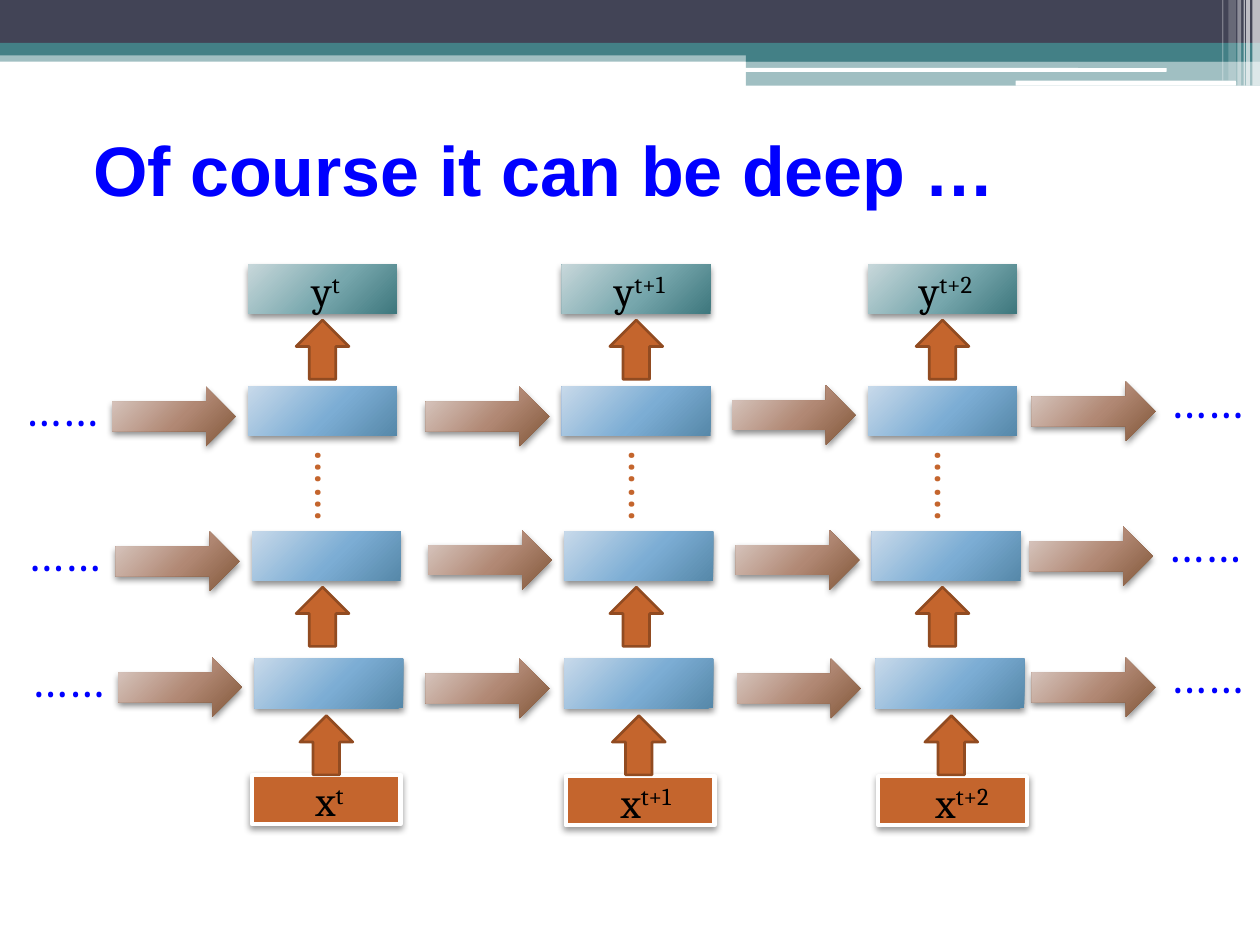
from lxml import etree
from pptx import Presentation
from pptx.dml.color import RGBColor
from pptx.enum.shapes import MSO_SHAPE
from pptx.enum.text import MSO_ANCHOR, MSO_AUTO_SIZE, PP_ALIGN
from pptx.oxml import parse_xml
from pptx.oxml.ns import nsdecls, qn
from pptx.util import Pt

RECT, ROUND = MSO_SHAPE.RECTANGLE, MSO_SHAPE.ROUNDED_RECTANGLE
UP, RIGHT = MSO_SHAPE.UP_ARROW, MSO_SHAPE.RIGHT_ARROW
LEFT, CENTER = PP_ALIGN.LEFT, PP_ALIGN.CENTER
MIDDLE = MSO_ANCHOR.MIDDLE
GROW = MSO_AUTO_SIZE.SHAPE_TO_FIT_TEXT

PX = 9144  # 100 px to the inch
rgb = RGBColor.from_string
ORANGE, BROWN, WHITE, BLACK = "C4652D", "914B21", "FFFFFF", "000000"
NAVY, TEAL, LINK = "424456", "438086", "0000FF"
BLUE_GRAD = ("C7D9EA", "7CADD4", "5688A9")
TEAL_GRAD = ("C7D7DA", "77A7AD", "3E777D")
BROWN_GRAD = ("DBCCC6", "B18874", "825739")

prs = Presentation()
prs.slide_width, prs.slide_height = 1000 * PX, 750 * PX
s = prs.slides.add_slide(prs.slide_layouts[5])


def add_shape(kind, x, y, w, h, fill, alpha=100, line=None, shadow=None):
    """Add a shape; fill is a hex colour or three gradient colours."""
    sp = s.shapes.add_shape(kind, x * PX, y * PX, w * PX, h * PX)
    sp.shadow.inherit = False
    spPr = sp._element.spPr
    if isinstance(fill, tuple):
        sp.fill.gradient()
        stops = "".join(f'<a:gs pos="{pos}000"><a:srgbClr val="{c}"/></a:gs>'
                        for pos, c in zip((0, 55, 100), fill))
        spPr.replace(spPr.find(qn("a:gradFill")), parse_xml(
            f'<a:gradFill {nsdecls("a")} rotWithShape="1"><a:gsLst>{stops}</a:gsLst>'
            '<a:path path="circle"><a:fillToRect l="-40000" t="-90000" '
            'r="140000" b="190000"/></a:path></a:gradFill>'))
    else:
        sp.fill.solid()
        sp.fill.fore_color.rgb = rgb(fill)
    if alpha < 100:
        color = spPr.find(qn("a:solidFill")).find(qn("a:srgbClr"))
        etree.SubElement(color, qn("a:alpha")).set("val", str(alpha * 1000))
    if line:
        sp.line.color.rgb = rgb(line[0])
        sp.line.width = Pt(line[1])
    else:
        sp.line.fill.background()
    if shadow:
        spPr.find(qn("a:effectLst")).append(parse_xml(
            f'<a:outerShdw {nsdecls("a")} blurRad="{Pt(4)}" dist="{Pt(2)}" '
            'dir="5400000" rotWithShape="0"><a:srgbClr val="000000">'
            f'<a:alpha val="{shadow}000"/></a:srgbClr></a:outerShdw>'))
    return sp


def add_label(x, y, w, h, text, size, color, sup="", rotation=0):
    """Add centred text with an optional superscript."""
    tb = s.shapes.add_textbox(x * PX, y * PX, w * PX, h * PX)
    tb.rotation = rotation
    tf = tb.text_frame
    tf.word_wrap = True
    tf.auto_size = GROW
    p = tf.paragraphs[0]
    p.text = text
    p.alignment = CENTER
    if sup:
        r = p.add_run()
        r.text = sup
        r.font._element.set("baseline", "30000")
    for r in p.runs:
        r.font.size = Pt(size)
        r.font.name = "Cambria"
        r.font.color.rgb = rgb(color)


# Header bands: kind, x, y, w, h, colour, opacity
for band in [
    (RECT, 0, 40, 1000, 9, TEAL, 50),
    (RECT, 0, 0, 1000, 34, NAVY, 100),
    (RECT, 0, 34, 1000, 10, TEAL, 100),
    (RECT, 592, 39, 408, 10, TEAL, 100),
    (RECT, 592, 48, 408, 20, TEAL, 50),
    (ROUND, 591, 54, 335, 3, WHITE, 100),
    (ROUND, 806, 64, 175, 4, WHITE, 100),
]:
    add_shape(*band)

# Header stripes: x, width, height, opacity
for x, w, h, alpha in [(994, 6, 68, 65), (989, 3, 68, 65), (987, 1, 68, 60),
                       (982, 3, 68, 40), (975, 6, 64, 20), (970, 1, 64, 30)]:
    add_shape(RECT, x, 0, w, h, WHITE, alpha)

# Title
title = s.shapes.title
title.left, title.top, title.width, title.height = 64 * PX, 75 * PX, 900 * PX, 117 * PX
tf = title.text_frame
tf.text = "Of course it can be deep …"
tf.vertical_anchor = MIDDLE
p = tf.paragraphs[0]
p.alignment = LEFT
font = p.runs[0].font
font.name, font.size, font.bold = "Arial", Pt(40), True
font.color.rgb = rgb(LINK)

# Hidden layers: box lefts and top, arrow lefts and tops, dots at both ends
layers = [
    ((197, 446, 689), 307, (89, 338, 581, 819), (307, 307, 306, 303), ((0, 295), (909, 288))),
    ((200, 448, 692), 422, (92, 340, 584, 817), (422, 421, 421, 418), ((2, 410), (907, 403))),
    ((202, 448, 695), 523, (94, 338, 585, 819), (522, 523, 523, 522), ((5, 510), (909, 507))),
]
for boxes, box_top, arrows, arrow_tops, dots in layers:
    for x in boxes:
        add_shape(RECT, x, box_top, 118, 39, BLUE_GRAD, shadow=45)
    for x, y in zip(arrows, arrow_tops):
        add_shape(RIGHT, x, y, 98, 47, BROWN_GRAD, shadow=45)
    for x, y in dots:
        add_label(x, y, 97, 57, "……", 28, LINK)

# Inputs and outputs of each time step
steps = zip(("t", "t+1", "t+2"), (200, 449, 697), (212, 463, 714), (615, 616, 616),
            (197, 446, 689))
for sup, x_left, x_text, x_top, y_left in steps:
    add_shape(RECT, x_left, x_top, 118, 39, ORANGE, line=(WHITE, 2.5), shadow=40)
    add_label(x_text, x_top - 5, 99, 50, "x", 24, BLACK, sup)
    add_shape(RECT, y_left, 210, 118, 39, TEAL_GRAD, shadow=45)
    add_label(y_left + 12, 205, 99, 50, "y", 24, BLACK, sup)
    add_label(y_left + 20, 356, 97, 57, "……", 28, ORANGE, rotation=90)

# Upward arrows between the layers
for y, lefts in [(254, (235, 484, 727)), (466, (235, 484, 727)), (568, (238, 486, 734))]:
    for x in lefts:
        add_shape(UP, x, y, 42, 47, ORANGE, line=(BROWN, 1.5))

prs.save("out.pptx")
